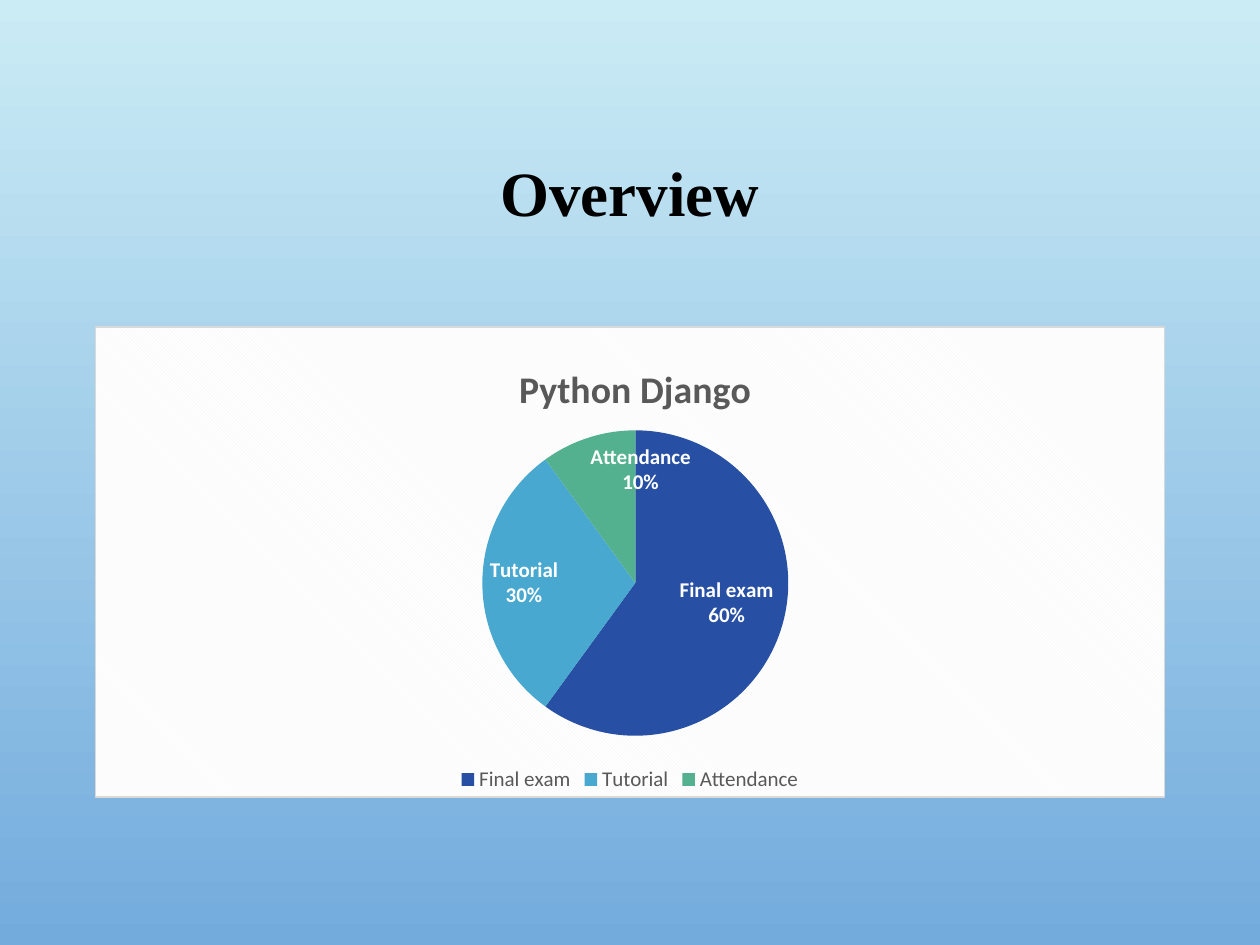
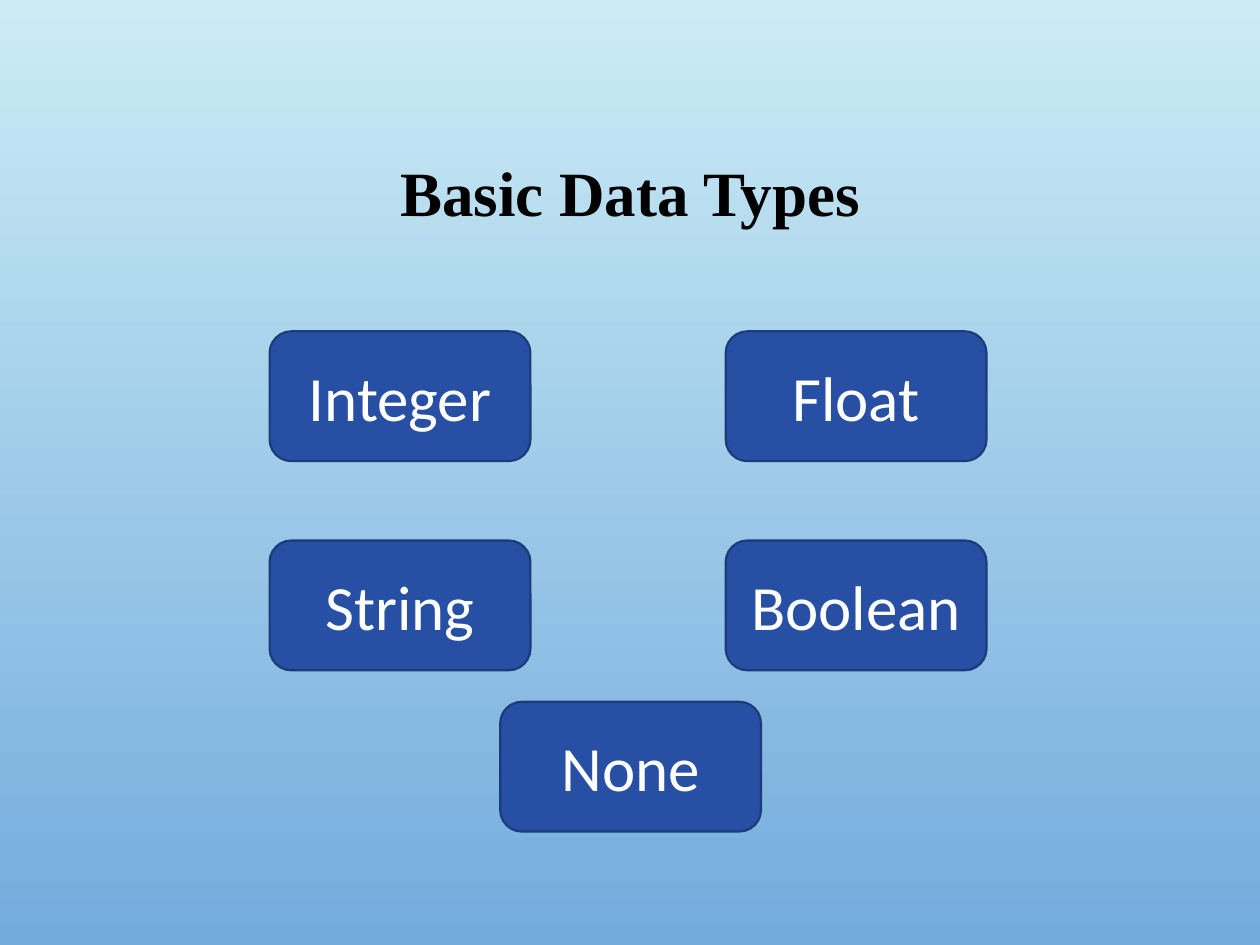
from pptx import Presentation
from pptx.chart.data import CategoryChartData
from pptx.dml.color import RGBColor as RGB
from pptx.enum.chart import XL_CHART_TYPE, XL_LABEL_POSITION as LabelPos, XL_LEGEND_POSITION as LegendPos
from pptx.enum.shapes import MSO_SHAPE
from pptx.enum.text import MSO_ANCHOR, PP_ALIGN
from pptx.oxml import parse_xml
from pptx.oxml.ns import nsdecls, qn
from pptx.util import Pt
from lxml.etree import SubElement

EMU_PER_PX = 9144  # 100 px to the inch


class Theme:
    sky_top, sky_bottom = RGB.from_string("CBECF5"), RGB.from_string("73ABDD")
    blue, blue_edge = RGB.from_string("274FA4"), RGB.from_string("1D3A79")
    slices = [blue, RGB.from_string("48A8D0"), RGB.from_string("53B18F")]
    grey = RGB.from_string("595959")
    black, white = RGB(0, 0, 0), RGB(255, 255, 255)
    title = dict(name="Times New Roman", size=Pt(36), bold=True)
    box = dict(name="Calibri", size=Pt(36))
    chart = dict(name="Calibri", size=Pt(10))
    chart_title = dict(name="Calibri", size=Pt(21.6), bold=True)
    legend = dict(name="Calibri", size=Pt(12))
    label = dict(name="Calibri", size=Pt(12), bold=True)


def style(font, formats, color):
    for key, value in formats.items():
        setattr(font, key, value)
    font.color.rgb = color


def place(element, **fractions):
    """Give a chart part a fixed place, in fractions of the chart."""
    layout = element.find(qn("c:layout"))
    if layout is None:
        layout = parse_xml(f"<c:layout {nsdecls('c')}/>")
        element.insert(0, layout)
    manual = SubElement(layout, qn("c:manualLayout"))
    if "w" in fractions:
        SubElement(manual, qn("c:layoutTarget")).set("val", "inner")
    for axis in "xy":
        SubElement(manual, qn(f"c:{axis}Mode")).set("val", "edge")
    for key, value in fractions.items():
        SubElement(manual, qn(f"c:{key}")).set("val", str(value))


deck = Presentation()
deck.slide_width, deck.slide_height = 1000 * EMU_PER_PX, 750 * EMU_PER_PX

# Shared background and title
pages = []
for heading in ("Overview", "Basic Data Types"):
    page = deck.slides.add_slide(deck.slide_layouts[6])
    pages.append(page)
    fill = page.background.fill
    fill.gradient()
    fill.gradient_angle = 270
    for stop, color in zip(fill.gradient_stops, (Theme.sky_top, Theme.sky_bottom)):
        stop.color.rgb = color
    box = page.shapes.add_textbox(*(n * EMU_PER_PX for n in (75, 68, 850, 175)))
    frame = box.text_frame
    frame.word_wrap = True
    frame.vertical_anchor = MSO_ANCHOR.MIDDLE
    para = frame.paragraphs[0]
    para.alignment, para.line_spacing = PP_ALIGN.CENTER, 0.9
    span = para.add_run()
    span.text = heading
    style(span.font, Theme.title, Theme.black)
overview, data_types = pages

# Pie of the grading shares
shares = CategoryChartData()
shares.categories = ["Final exam", "Tutorial", "Attendance"]
shares.add_series("Series 1", (60, 30, 10))
area = (n * EMU_PER_PX for n in (75, 259, 850, 374))
chart = overview.shapes.add_chart(XL_CHART_TYPE.PIE, *area, shares).chart
style(chart.font, Theme.chart, Theme.black)

chart.has_title = True
para = chart.chart_title.text_frame.paragraphs[0]
span = para.add_run()
span.text = "Python Django"
style(span.font, Theme.chart_title, Theme.grey)

chart.has_legend = True
chart.legend.position = LegendPos.BOTTOM
chart.legend.include_in_layout = False
style(chart.legend.font, Theme.legend, Theme.grey)

pie = chart.plots[0]
pie.vary_by_categories = True
series = pie.series[0]
for index, color in enumerate(Theme.slices):
    piece = series.points[index].format
    piece.fill.solid()
    piece.fill.fore_color.rgb = color
    piece.line.fill.background()

labels = series.data_labels
label_formats = dict(show_percentage=True, show_category_name=True, show_value=False,
                     number_format="0%", number_format_is_linked=False,
                     position=LabelPos.INSIDE_END)
for key, value in label_formats.items():
    setattr(labels, key, value)
style(labels.font, Theme.label, Theme.white)

# Chart parts that need XML: label line break, places, patterned panel
root = chart.element
separator = parse_xml(f"<c:separator {nsdecls('c')}>\n</c:separator>")
root.xpath(".//c:ser/c:dLbls/c:showBubbleSize")[0].addnext(separator)
place(root.xpath("c:chart/c:title")[0], x=0.39, y=0.06)
place(root.xpath("c:chart/c:plotArea")[0], x=0.36, y=0.22, w=0.29, h=0.65)
root.find(qn("c:chart")).addprevious(
    parse_xml(f'<c:roundedCorners {nsdecls("c")} val="0"/>'))
root.find(qn("c:txPr")).addprevious(parse_xml(
    f'<c:spPr {nsdecls("c", "a")}><a:pattFill prst="dkDnDiag">'
    '<a:fgClr><a:srgbClr val="F2F2F2"/></a:fgClr>'
    '<a:bgClr><a:srgbClr val="FFFFFF"/></a:bgClr></a:pattFill>'
    '<a:ln w="9525"><a:solidFill><a:srgbClr val="D9D9D9"/></a:solidFill></a:ln></c:spPr>'))

# Data type boxes: a two by two grid and one centred below
grid = [(left, top) for top in (263, 429) for left in (214, 576)]
names = ("Integer", "Float", "String", "Boolean", "None")
for name, (left, top) in zip(names, grid + [(397, 557)]):
    area = (n * EMU_PER_PX for n in (left, top, 207, 103))
    box = data_types.shapes.add_shape(MSO_SHAPE.ROUNDED_RECTANGLE, *area)
    box.shadow.inherit = False
    box.fill.solid()
    box.fill.fore_color.rgb = Theme.blue
    box.line.color.rgb = Theme.blue_edge
    box.line.width = Pt(1.25)
    frame = box.text_frame
    frame.vertical_anchor = MSO_ANCHOR.MIDDLE
    para = frame.paragraphs[0]
    para.alignment = PP_ALIGN.CENTER
    span = para.add_run()
    span.text = name
    style(span.font, Theme.box, Theme.white)

deck.save("out.pptx")
